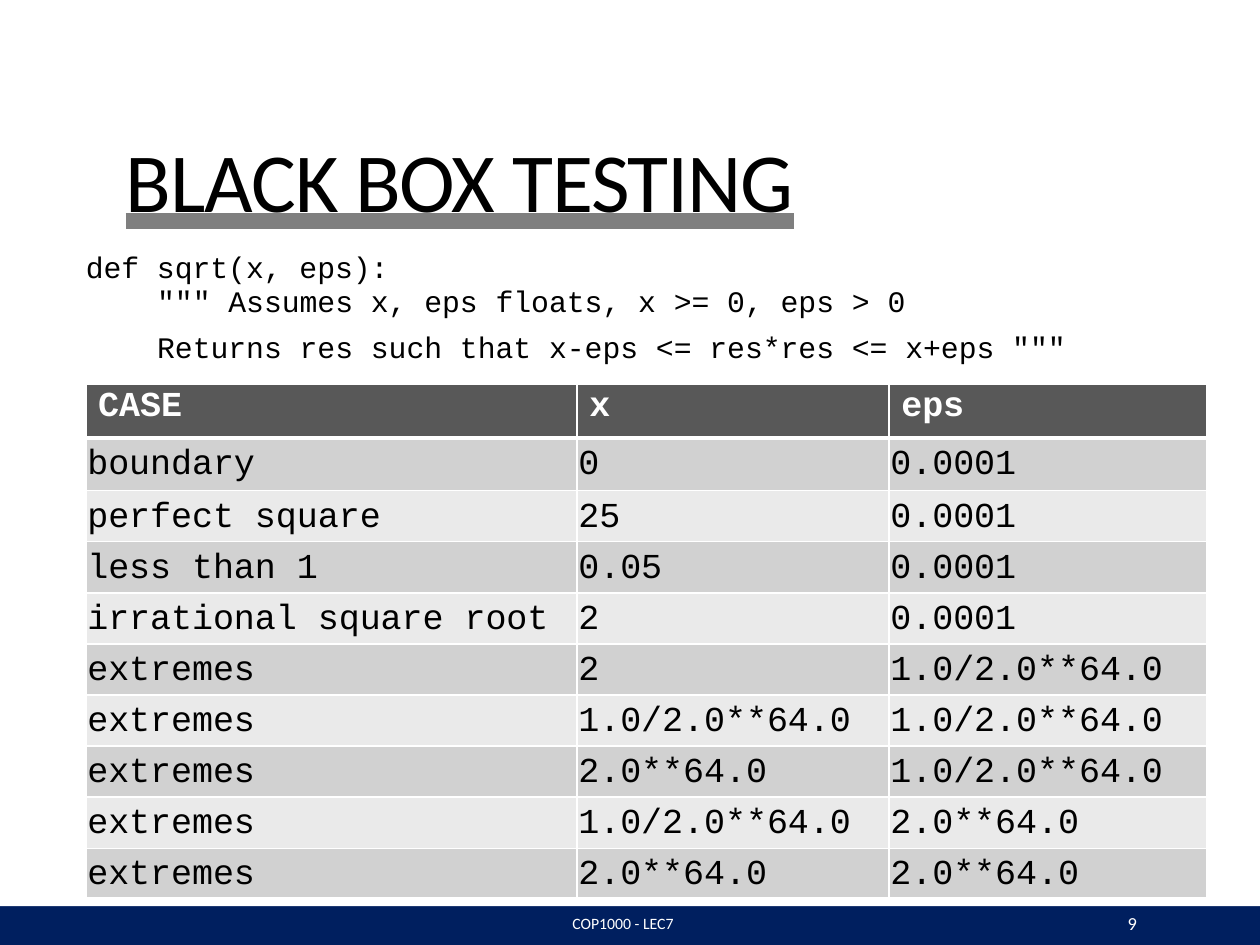
from lxml import etree
from pptx import Presentation
from pptx.dml.color import RGBColor
from pptx.enum.shapes import MSO_SHAPE
from pptx.enum.text import MSO_UNDERLINE
from pptx.oxml.ns import qn
from pptx.util import Cm, Pt

RECT = MSO_SHAPE.RECTANGLE
HEAVY = MSO_UNDERLINE.HEAVY_LINE
SANS, MONO = "Calibri", "Courier New"
COLORS = {"navy": "001F5F", "white": "FFFFFF", "black": "000000", "rule": "7F7F7F",
          "header": "585858", "odd": "D1D1D1", "even": "EAEAEA"}

# Content
TITLE = "BLACK BOX TESTING"
CODE = [  # text, indent in cm, line spacing and space before in pt
    ("def sqrt(x, eps):", 0.03, 19.4, 0.9),
    ('""" Assumes x, eps floats, x >= 0, eps > 0', 1.47, 19.4, 0),
    ('Returns res such that x-eps <= res*res <= x+eps """', 1.47, None, 5.8),
]
TINY, HUGE = "1.0/2.0**64.0", "2.0**64.0"
CASES = [
    ("CASE", "x", "eps"),
    ("boundary", "0", "0.0001"),
    ("perfect square", "25", "0.0001"),
    ("less than 1", "0.05", "0.0001"),
    ("irrational square root", "2", "0.0001"),
    ("extremes", "2", TINY),
    ("extremes", TINY, TINY),
    ("extremes", HUGE, TINY),
    ("extremes", TINY, HUGE),
    ("extremes", HUGE, HUGE),
]
COL_WIDTHS = [9.9, 6.29, 6.4]
ROW_HEIGHTS = [1.08, 1.06] + [1.03] * 7 + [0.99]
BANDS = [("navy", 17.78, 1.27), ("white", 17.37, 0.9)]
FOOTER = [  # text, box, size, indent, line spacing
    ("COP1000 - LEC7", (11.51, 18.47, 2.39, 0.36), 9, 0.03, 9.6),
    ("9", (22.63, 18.44, 0.58, 0.43), 10.5, 0.1, 10.9),
]


def rgb(name):
    return RGBColor.from_string(COLORS[name])


def write(tf, text, size, font=MONO, color="black", bold=False, indent=0.03,
          before=0, line=None, spacing=0, rule=None):
    """Add one formatted paragraph, using the empty first one if it is free."""
    p = tf.paragraphs[0] if not tf.text else tf.add_paragraph()
    p.space_before = Pt(before)
    if line:
        p.line_spacing = Pt(line)
    pPr = p._p.get_or_add_pPr()
    pPr.set("marL", str(Cm(indent)))
    pPr.set("indent", "0")
    r = p.add_run()
    r.text = text
    f = r.font
    f.name, f.size, f.bold = font, Pt(size), bold
    f.color.rgb = rgb(color)
    rPr = r._r.get_or_add_rPr()
    rPr.set("spc", str(spacing))
    if rule:
        f.underline = HEAVY
        u_fill = etree.Element(qn("a:uFill"))
        solid = etree.SubElement(u_fill, qn("a:solidFill"))
        etree.SubElement(solid, qn("a:srgbClr"), val=COLORS[rule])
        rPr.find(qn("a:latin")).addprevious(u_fill)


def text_box(slide, box, top=0):
    tf = slide.shapes.add_textbox(*map(Cm, box)).text_frame
    tf.word_wrap = True
    tf.margin_left = tf.margin_right = tf.margin_bottom = 0
    tf.margin_top = Cm(top)
    return tf


def set_borders(cell, **widths):
    tcPr = cell._tc.get_or_add_tcPr()
    for i, side in enumerate("LRTB"):
        ln = etree.Element(qn(f"a:ln{side}"), w=str(Pt(widths.get(side, 1))))
        solid = etree.SubElement(ln, qn("a:solidFill"))
        etree.SubElement(solid, qn("a:srgbClr"), val=COLORS["white"])
        tcPr.insert(i, ln)


def add_cases(slide):
    frame = slide.shapes.add_table(len(CASES), len(COL_WIDTHS), Cm(1.73), Cm(7.75),
                                   Cm(sum(COL_WIDTHS)), Cm(sum(ROW_HEIGHTS)))
    table = frame.table
    table.horz_banding = False
    for col, width in zip(table.columns, COL_WIDTHS):
        col.width = Cm(width)
    for i, (row, height, values) in enumerate(zip(table.rows, ROW_HEIGHTS, CASES)):
        row.height = Cm(height)
        head = i == 0
        fill = "header" if head else "odd" if i % 2 else "even"
        for cell, value in zip(row.cells, values):
            cell.margin_left = cell.margin_right = cell.margin_bottom = 0
            cell.margin_top = Cm(0.05 if head else 0.15)
            cell.fill.solid()
            cell.fill.fore_color.rgb = rgb(fill)
            set_borders(cell, B=3 if head else 1, T=3 if i == 1 else 1)
            write(cell.text_frame, value, 20, bold=head, spacing=-5,
                  color="white" if head else "black",
                  indent=0.25 if head else 0.03, before=1.2 if head else 4.1)


def main():
    prs = Presentation()
    prs.slide_width, prs.slide_height = Cm(25.4), Cm(19.05)
    slide = prs.slides.add_slide(prs.slide_layouts[6])

    # Footer bands
    for color, top, height in BANDS:
        sp = slide.shapes.add_shape(RECT, 0, Cm(top), prs.slide_width, Cm(height))
        sp.shadow.inherit = False
        sp.fill.solid()
        sp.fill.fore_color.rgb = rgb(color)
        sp.line.fill.background()

    # Code and title
    tf = text_box(slide, (1.7, 5.03, 19.96, 2.36), top=0.03)
    for text, indent, line, before in CODE:
        write(tf, text, 17, indent=indent, line=line, before=before, spacing=-5)
    tf = text_box(slide, (2.51, 2.57, 20.78, 2.11), top=0.03)
    write(tf, TITLE, 48, font=SANS, before=1, spacing=-65, rule="rule")

    # Test cases
    add_cases(slide)

    # Footer text
    for text, box, size, indent, line in FOOTER:
        write(text_box(slide, box), text, size, font=SANS, color="white",
              indent=indent, line=line)

    prs.save("out.pptx")


if __name__ == "__main__":
    main()
